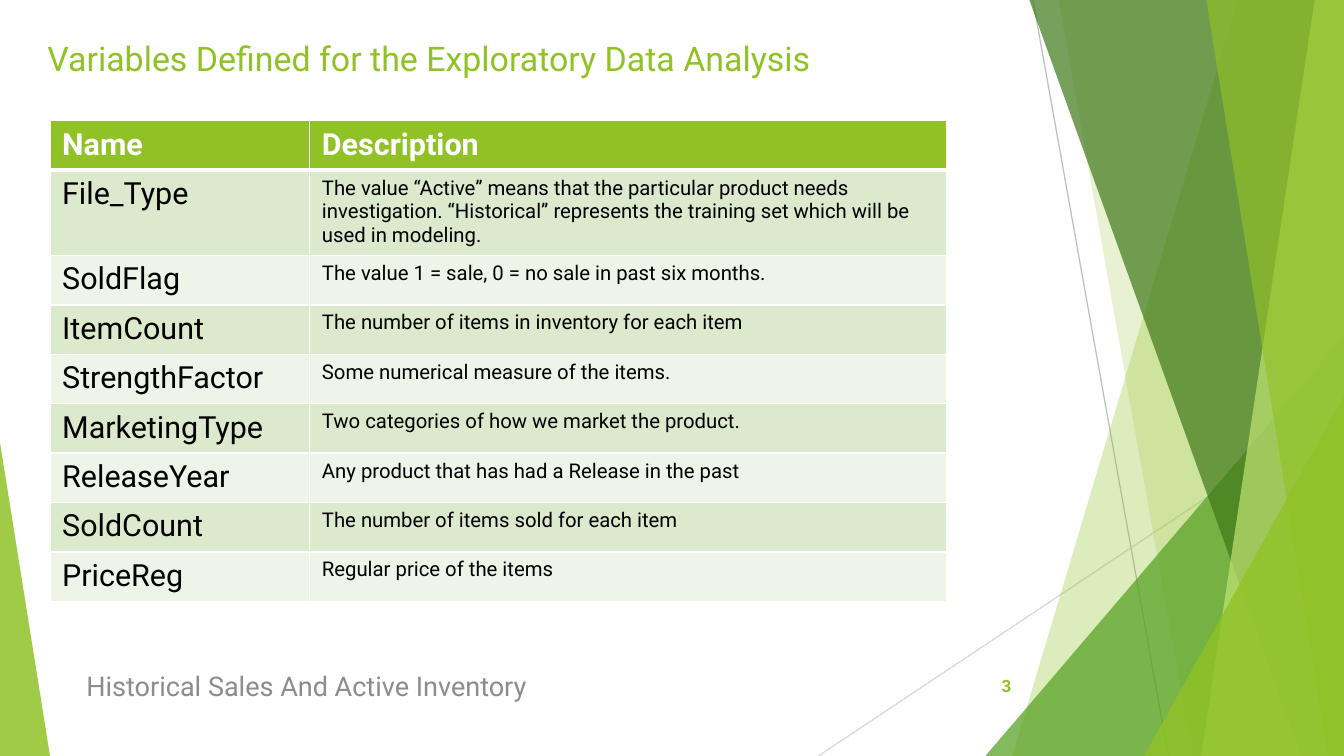
"""Build the slide that defines the variables of the exploratory data analysis."""
from lxml import etree
from pptx import Presentation
from pptx import util as u
from pptx.dml.color import RGBColor
from pptx.enum import shapes, text
from pptx.oxml import ns

LIME = RGBColor(0x90, 0xC2, 0x26)
PALE_LIME = RGBColor(0xC0, 0xE4, 0x74)
GREEN = RGBColor(0x54, 0xA0, 0x21)
FOREST = RGBColor(0x3F, 0x78, 0x19)
DARK_ROW = RGBColor(0xDB, 0xE9, 0xCD)
LIGHT_ROW = RGBColor(0xEE, 0xF4, 0xE8)
FOOTER_GRAY = RGBColor(0x8C, 0x8C, 0x8C)
LINE_GRAY = RGBColor(0xBF, 0xBF, 0xBF)
PALE_GRAY = RGBColor(0xD9, 0xD9, 0xD9)
WHITE = RGBColor(0xFF, 0xFF, 0xFF)
BLACK = RGBColor(0x00, 0x00, 0x00)

presentation = Presentation()
presentation.slide_width = u.Inches(11.02)
presentation.slide_height = u.Inches(6.2)
slide = presentation.slides.add_slide(presentation.slide_layouts[6])
column = presentation.slide_width / 100
row = presentation.slide_height / 100


def place(*lengths):
    """Turn alternating percentages of slide width and height into lengths."""
    return [u.Emu(round(length * (row if index % 2 else column)))
            for index, length in enumerate(lengths)]


def write(paragraph, words, **formats):
    """Add one run with the given font values."""
    run = paragraph.add_run()
    run.text = words
    run.font.color.rgb = formats.pop("color")
    for name, value in {"name": "Roboto", "bold": False, **formats}.items():
        setattr(run.font, name, value)


for ends, color in [((76.86, 0, 86.93, 100), LINE_GRAY),
                    ((100, 53.71, 60.89, 100), PALE_GRAY)]:
    connector = slide.shapes.add_connector(shapes.MSO_CONNECTOR.STRAIGHT, *place(*ends))
    connector.line.color.rgb = color
    connector.line.width = u.Pt(0.75)
    etree.SubElement(connector.element.spPr, ns.qn("a:effectLst"))

facets = [
    ("band", (92.11, 75.32), LIME, 30),
    ("band", (78.77, 88.75), LIME, 20),
    ("triangle", (73.32, 44.52, 26.68, 1), GREEN, 72),
    ("band", (76.59, 96.82), FOREST, 70),
    ("band", (97.82, 89.38), PALE_LIME, 70),
    ("band", (89.75, 98.82), LIME, 65),
    ("triangle", (85.12, 52.42, 14.88, 1), LIME, 80),
    ("triangle", (0, 58.55, 3.72, 0), LIME, 85),
]
for kind, geometry, color, opacity in facets:
    if kind == "band":
        top_left, bottom_left = geometry
        builder = slide.shapes.build_freeform(*place(top_left, 0))
        builder.add_line_segments([place(100, 0), place(100, 100), place(bottom_left, 100)])
        shape = builder.convert_to_shape()
    else:
        left, top, width, apex = geometry
        shape = slide.shapes.add_shape(shapes.MSO_SHAPE.ISOSCELES_TRIANGLE,
                                       *place(left, top, width, 100 - top))
        shape.adjustments[0] = apex
    shape.shadow.inherit = False
    shape.fill.solid()
    shape.fill.fore_color.rgb = color
    shape.line.fill.background()
    paint = shape.element.spPr.find(ns.qn("a:solidFill"))[0]
    etree.SubElement(paint, ns.qn("a:alpha"), val=str(opacity * 1000))

labels = [
    ("3", (70.51, 88.06, 5.63, 5.32), text.MSO_ANCHOR.MIDDLE, text.PP_ALIGN.RIGHT,
     {"size": u.Pt(10), "color": LIME, "bold": True}),
    ("Historical Sales And Active Inventory", (5.54, 88.06, 51.63, 5.32),
     text.MSO_ANCHOR.MIDDLE, text.PP_ALIGN.LEFT, {"size": u.Pt(16), "color": FOOTER_GRAY}),
    ("Variables Defined for the Exploratory Data Analysis", (2.63, 4.19, 72.87, 7.74),
     text.MSO_ANCHOR.TOP, text.PP_ALIGN.LEFT, {"size": u.Pt(20), "color": LIME}),
]
for words, box, anchor, alignment, formats in labels:
    frame = slide.shapes.add_textbox(*place(*box)).text_frame
    frame.word_wrap = True
    frame.vertical_anchor = anchor
    frame.paragraphs[0].alignment = alignment
    write(frame.paragraphs[0], words, **formats)

variables = [
    ("Name", "Description"),
    ("File_Type", "The value “Active” means that the particular product needs investigation. "
                  "“Historical” represents the training set which will be used in modeling."),
    ("SoldFlag", "The value 1 = sale, 0 = no sale in past six months."),
    ("ItemCount", "The number of items in inventory for each item"),
    ("StrengthFactor", "Some numerical measure of the items."),
    ("MarketingType", "Two categories of how we market the product."),
    ("ReleaseYear", "Any product that has had a Release in the past"),
    ("SoldCount", "The number of items sold for each item"),
    ("PriceReg", "Regular price of the items"),
]
widths = (19.33, 47.37)
row_height = 6.54
table = slide.shapes.add_table(len(variables), len(widths), *place(
    3.72, 15.97, sum(widths), row_height * len(variables))).table
for table_column, width in zip(table.columns, widths):
    table_column.width = place(width)[0]
for row_index, entries in enumerate(variables):
    table.rows[row_index].height = u.Emu(round(row_height * row))
    header = row_index == 0
    for column_index, words in enumerate(entries):
        cell = table.cell(row_index, column_index)
        properties = cell._tc.get_or_add_tcPr()
        for side in "LRTB":
            heavy = (row_index, side) in [(0, "B"), (1, "T")]
            border = etree.SubElement(properties, ns.qn(f"a:ln{side}"),
                                      w=str(u.Pt(3 if heavy else 1)))
            fill = etree.SubElement(border, ns.qn("a:solidFill"))
            etree.SubElement(fill, ns.qn("a:srgbClr"), val=str(WHITE))
        cell.fill.solid()
        cell.fill.fore_color.rgb = LIME if header else (LIGHT_ROW, DARK_ROW)[row_index % 2]
        write(cell.text_frame.paragraphs[0], words, bold=header,
              size=u.Pt(18 if header or column_index == 0 else 12),
              color=WHITE if header else BLACK)

presentation.save("out.pptx")
